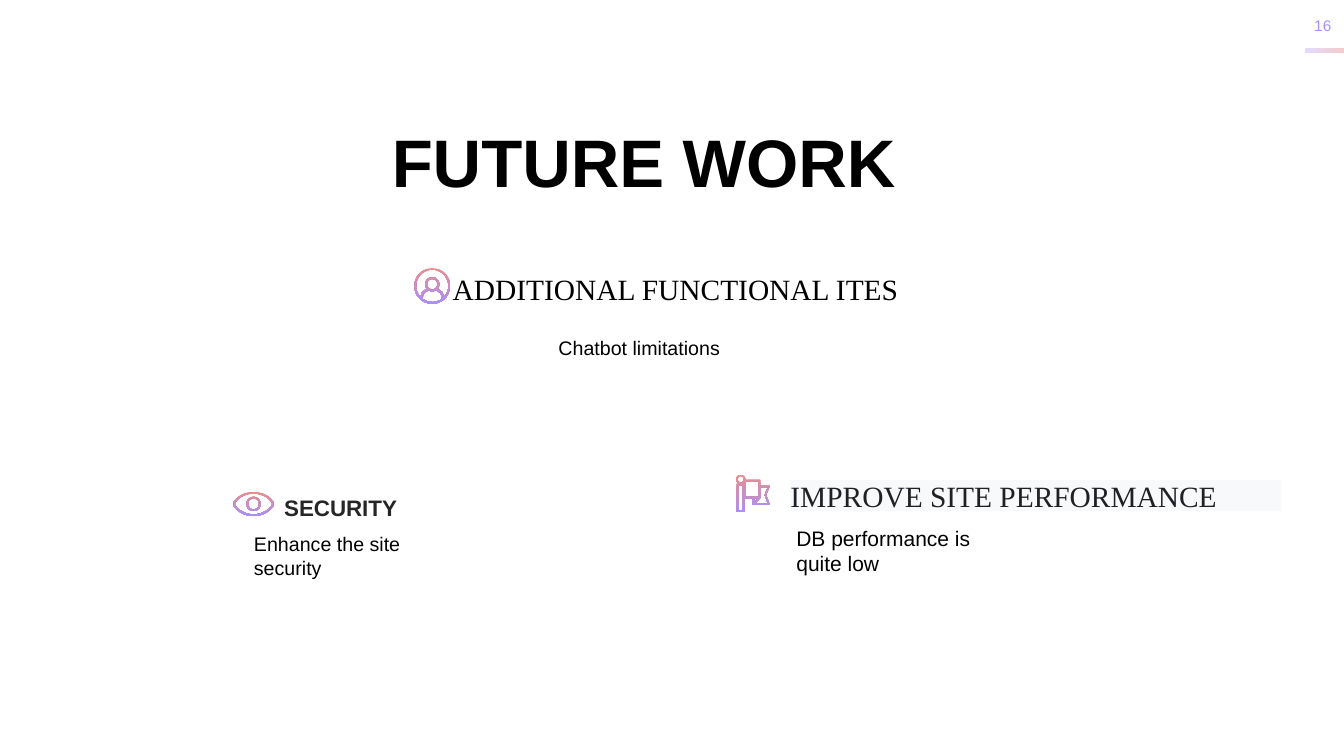
import math

from pptx import Presentation
from pptx import util as u
from pptx.dml.color import RGBColor
from pptx.enum import shapes, text

PINK, PURPLE = "EA8D8D", "A890FE"
UNITS_PER_INCH = 1000


def color(value):
    return RGBColor.from_string(value)


def paint_gradient(shape, first, last, angle):
    shape.shadow.inherit = False
    shape.line.fill.background()
    shape.fill.gradient()
    shape.fill.gradient_angle = angle
    for stop, value in zip(shape.fill.gradient_stops, (first, last)):
        stop.color.rgb = color(value)


def write(shape, words, size, fill="000000", font="Arial", bold=False,
          align=text.PP_ALIGN.LEFT, anchor=text.MSO_ANCHOR.TOP, inset=(0.1, 0.05)):
    frame = shape.text_frame
    frame.word_wrap = True
    frame.vertical_anchor = anchor
    frame.margin_left = frame.margin_right = u.Inches(inset[0])
    frame.margin_top = frame.margin_bottom = u.Inches(inset[1])
    para = frame.paragraphs[0]
    para.text = words
    para.alignment = align
    para.font.name = font
    para.font.size = u.Pt(size)
    para.font.bold = bold
    para.font.color.rgb = color(fill)


def add_text(page, box, words, size, **style):
    write(page.shapes.add_textbox(*map(u.Inches, box)), words, size, **style)


def circle(x, y, radius):
    angles = [math.radians(step) for step in range(0, 360, 10)]
    return [(x + radius * math.cos(a), y + radius * math.sin(a)) for a in angles]


def lens(x, y, half_width, half_height):
    angles = [math.radians(step) for step in range(0, 360, 10)]
    return [(x + half_width * math.cos(a),
             y + half_height * math.sin(a) * abs(math.sin(a)) ** 0.4) for a in angles]


def rectangle(left, top, right, bottom):
    return [(left, top), (right, top), (right, bottom), (left, bottom)]


def person_outline():
    shoulder = [(60, 285), (75, 240), (125, 200), (140, 217), (95, 250), (78, 300)]
    mirrored = [(354 - x, y) for x, y in shoulder]
    return [circle(177, 177, 177), circle(177, 177, 160),
            circle(177, 160, 70), circle(177, 160, 52), shoulder, mirrored]


def eye_outline():
    return [lens(205, 120, 205, 120), lens(205, 120, 185, 103),
            circle(205, 120, 70), circle(205, 120, 54)]


def flag_outline():
    banner = [(82, 80), (93, 50), (240, 50), (240, 110), (335, 110), (300, 200),
              (335, 300), (165, 300), (165, 235), (82, 235)]
    tail = [(240, 125), (315, 125), (285, 200), (315, 285), (190, 285), (240, 230)]
    fold = [(180, 240), (210, 240), (180, 270)]
    return [circle(47, 46, 46), circle(47, 46, 30),
            rectangle(10, 90, 82, 370), rectangle(27, 105, 67, 355),
            banner, rectangle(97, 65, 225, 220), tail, fold]


def add_icon(page, left, top, contours):
    scale = u.Inches(1) / UNITS_PER_INCH
    builder = page.shapes.build_freeform(*contours[0][0], scale=scale)
    for contour in contours:
        builder.move_to(*contour[0])
        builder.add_line_segments(contour[1:], close=True)
    icon = builder.convert_to_shape(u.Inches(left), u.Inches(top))
    paint_gradient(icon, PINK, PURPLE, 270)


def add_page_number(page, left, top):
    add_text(page, (left, top, 0.7, 0.36), "16", 11, fill=PURPLE,
             align=text.PP_ALIGN.CENTER, anchor=text.MSO_ANCHOR.MIDDLE,
             inset=(0.13, 0.07))
    bar = page.shapes.add_shape(
        shapes.MSO_SHAPE.RECTANGLE,
        *map(u.Inches, (left + 0.17, top + 0.41, 0.39, 0.05)))
    paint_gradient(bar, "E3DBFF", "F5CBCB", 0)


def add_functionality(page, left, top):
    add_icon(page, left, top, person_outline())
    add_text(page, (left + 0.38, top + 0.03, 4.53, 0.34), "ADDITIONAL FUNCTIONAL ITES",
             21, font="Times New Roman", inset=(0, 0))
    add_text(page, (left + 1.33, top + 0.62, 2.01, 0.34), "Chatbot limitations", 14)


def add_security(page, left, top):
    add_icon(page, left, top, eye_outline())
    add_text(page, (left + 0.41, top - 0.03, 2.36, 0.37), "SECURITY", 16,
             fill="262626", bold=True)
    add_text(page, (left + 0.11, top + 0.35, 2.01, 0.57),
             "Enhance the site security", 14)


def add_performance(page, left, top):
    add_icon(page, left, top, flag_outline())
    band = page.shapes.add_shape(
        shapes.MSO_SHAPE.RECTANGLE,
        *map(u.Inches, (left + 0.54, top + 0.05, 4.87, 0.31)))
    band.shadow.inherit = False
    band.fill.solid()
    band.fill.fore_color.rgb = color("F8F9FA")
    band.line.fill.background()
    write(band, "IMPROVE SITE PERFORMANCE", 21, fill="202124", font="Times New Roman",
          anchor=text.MSO_ANCHOR.MIDDLE, inset=(0, -0.02))
    add_text(page, (left + 0.5, top + 0.45, 2.36, 0.47),
             "DB performance is quite low", 15)


def main():
    deck = Presentation()
    deck.slide_width, deck.slide_height = u.Inches(13.33), u.Inches(7.5)
    page = deck.slides.add_slide(deck.slide_layouts[6])
    add_page_number(page, 12.77, 0.07)
    add_text(page, (2.51, 1.14, 7.75, 0.91), "FUTURE WORK", 48, bold=True,
             align=text.PP_ALIGN.CENTER)
    add_functionality(page, 4.11, 2.66)
    add_security(page, 2.31, 4.88)
    add_performance(page, 7.3, 4.71)
    deck.save("out.pptx")


if __name__ == "__main__":
    main()
